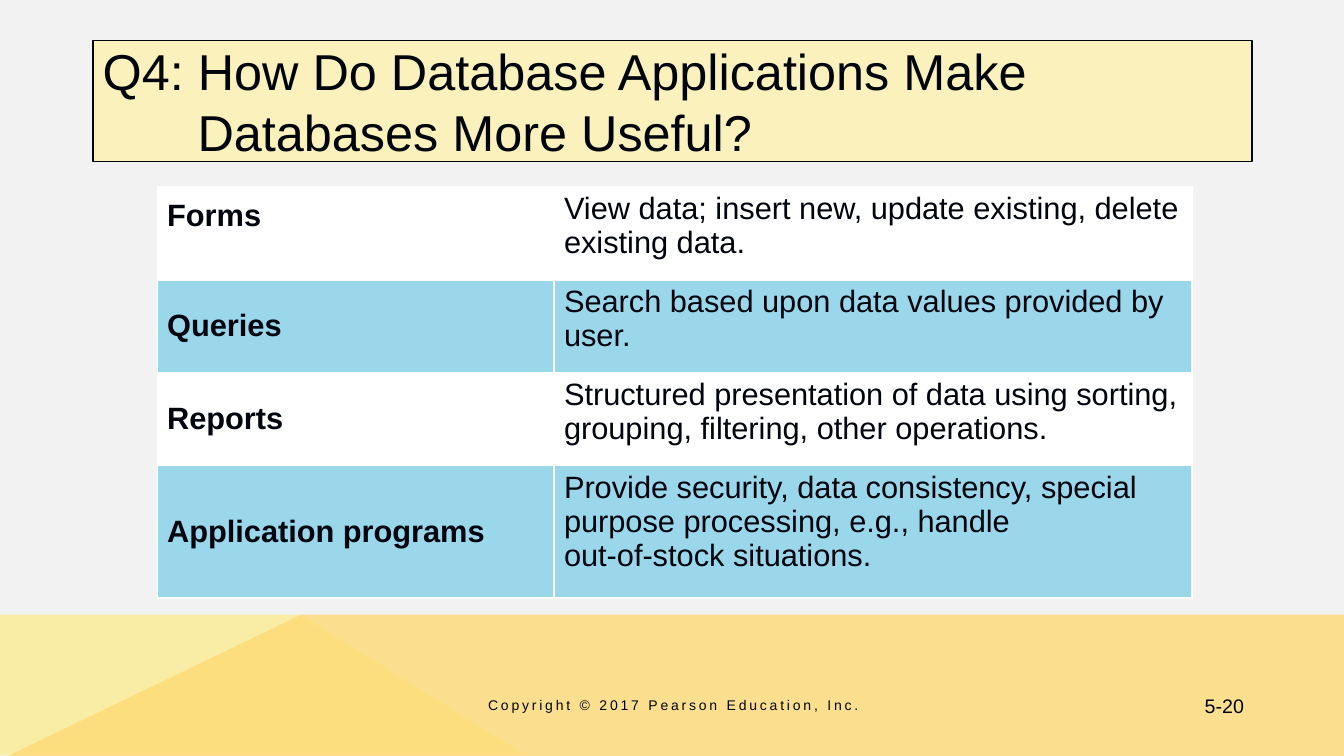
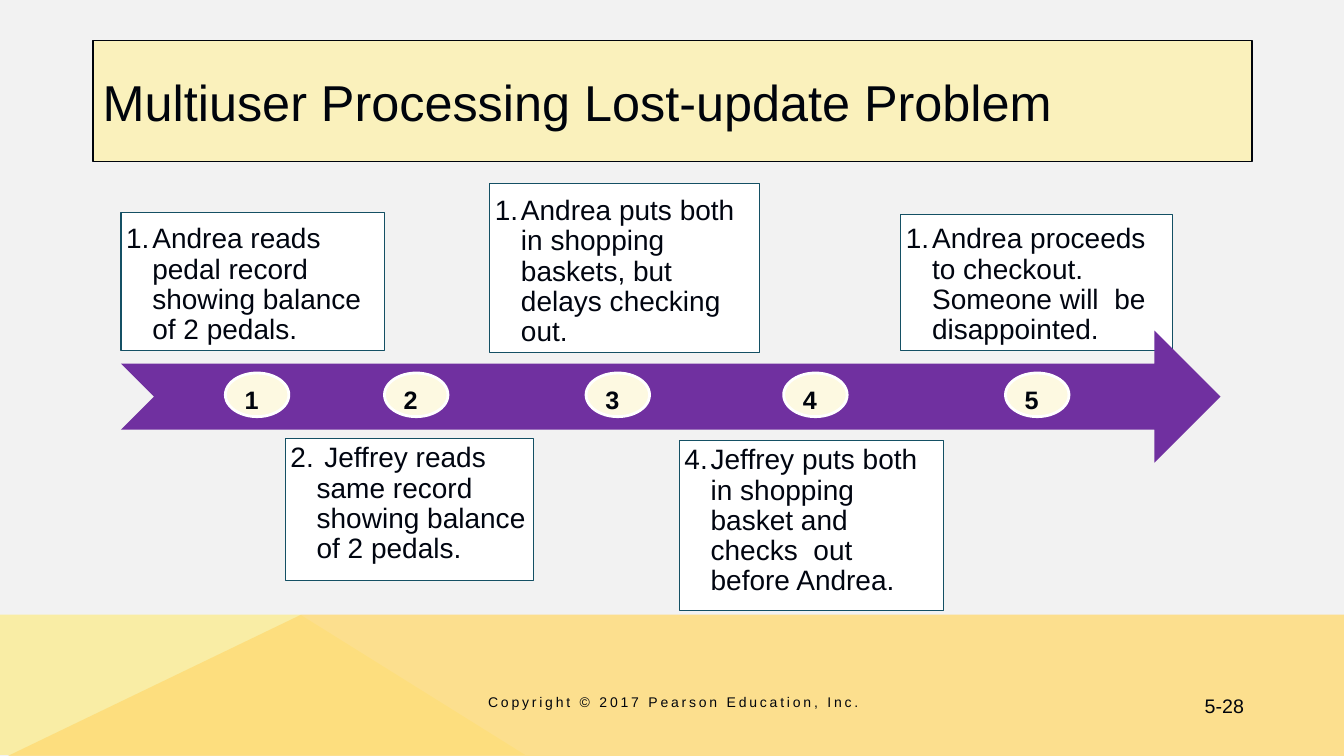
from lxml.etree import SubElement
from pptx import Presentation
from pptx.dml.color import RGBColor
from pptx.enum.shapes import MSO_SHAPE as Preset
from pptx.enum.text import MSO_ANCHOR as Anchor, PP_ALIGN as Align
from pptx.oxml.ns import qn
from pptx.util import Cm, Pt

FONT = "Arial"
INK, CARD_INK, WHITE, PAPER = "00040C", "000510", "FFFFFF", "F2F2F2"
TITLE_FILL, PALE_YELLOW, GOLD = "FAF1BC", "F9EDA5", "FFDB75"
BLUE, PURPLE, CREAM, TEAL = "9AD7EB", "7030A0", "FDF9E1", "145064"

WIDTH, HEIGHT, BAND_TOP = 33.87, 19.05, 15.49
BANDS = [
    (PALE_YELLOW, 100, [(0, 19.02), (0, BAND_TOP), (7.57, BAND_TOP), (13.23, 19.02)]),
    (GOLD, 80, [(0.2, HEIGHT), (7.59, BAND_TOP), (WIDTH, BAND_TOP), (WIDTH, HEIGHT)]),
]
COPYRIGHT = "Copyright © 2017 Pearson Education, Inc."

FEATURES = [
    ("Forms", "View data; insert new, update existing, delete existing data."),
    ("Queries", "Search based upon data values provided by user."),
    ("Reports", "Structured presentation of data using sorting, grouping, filtering, other operations."),
    ("Application programs", "Provide security, data consistency, special purpose processing, "
     "e.g., handle\nout-of-stock situations."),
]
COLUMN_WIDTHS = (10.0, 16.08)
ROW_HEIGHTS = (2.34, 2.34, 2.34, 3.35)

LATE_STEP = ("Andrea proceeds to checkout. Someone will  be disappointed.",
             1, (22.7, 5.41, 6.86, 3.43), Anchor.BOTTOM)
STEPS = [
    ("Andrea reads pedal record showing balance of 2 pedals.",
     1, (3.05, 5.36, 6.65, 3.48), Anchor.BOTTOM),
    (" Jeffrey reads same record showing balance of 2 pedals.",
     2, (7.19, 11.05, 6.26, 3.58), Anchor.TOP),
    ("Andrea puts both in shopping baskets, but delays checking out.",
     1, (12.34, 4.62, 6.79, 4.27), Anchor.BOTTOM),
    ("Jeffrey puts both in shopping basket and checks  out  before Andrea.",
     4, (17.12, 11.1, 6.66, 4.29), Anchor.TOP),
]
MARKER_LEFTS = (5.68, 9.69, 14.77, 19.75, 25.34)


def colour(code):
    return RGBColor.from_string(code)


def paint(shape, fill, line=None, width=1):
    shape.shadow.inherit = False
    shape.fill.solid()
    shape.fill.fore_color.rgb = colour(fill)
    if line:
        shape.line.color.rgb = colour(line)
        shape.line.width = Pt(width)
    else:
        shape.line.fill.background()


def write(text_frame, text, size, bold=False, align=Align.LEFT, ink=INK):
    text_frame.text = text
    text_frame.word_wrap = True
    for paragraph in text_frame.paragraphs:
        paragraph.alignment = align
        for run in paragraph.runs:
            run.font.name = FONT
            run.font.size = Pt(size)
            run.font.bold = bold
            run.font.color.rgb = colour(ink)


def hang(paragraph, indent):
    properties = paragraph._p.get_or_add_pPr()
    properties.set("marL", str(Cm(indent)))
    properties.set("indent", str(-Cm(indent)))
    return properties


def add_box(slide, preset, box, fill, line=None, width=1):
    shape = slide.shapes.add_shape(preset, *map(Cm, box))
    paint(shape, fill, line, width)
    return shape


def add_label(slide, box, text, size, align, anchor=Anchor.TOP):
    text_frame = slide.shapes.add_textbox(*map(Cm, box)).text_frame
    write(text_frame, text, size, align=align)
    text_frame.vertical_anchor = anchor
    return text_frame


def add_band(slide, fill, opacity, points):
    corners = [(Cm(x), Cm(y)) for x, y in points]
    builder = slide.shapes.build_freeform(*corners[0])
    builder.add_line_segments(corners[1:])
    shape = builder.convert_to_shape()
    paint(shape, fill)
    if opacity < 100:
        tint = shape._element.spPr.find(".//" + qn("a:srgbClr"))
        SubElement(tint, qn("a:alpha"), val=str(opacity * 1000))


def add_slide(presentation, title, number, title_indent=0, copyright_anchor=Anchor.TOP):
    slide = presentation.slides.add_slide(presentation.slide_layouts[6])
    slide.background.fill.solid()
    slide.background.fill.fore_color.rgb = colour(PAPER)
    for band in BANDS:
        add_band(slide, *band)
    add_label(slide, (28.22, 17.35, 3.38, 0.86), number, 14, Align.RIGHT)
    text_frame = add_box(slide, Preset.RECTANGLE, (2.34, 1.02, 29.21, 3.05), TITLE_FILL, INK).text_frame
    write(text_frame, title, 36)
    text_frame.vertical_anchor = Anchor.MIDDLE
    hang(text_frame.paragraphs[0], title_indent)
    notice = add_label(slide, (5.54, 17.35, 22.86, 0.84), COPYRIGHT, 10, Align.CENTER, copyright_anchor)
    notice.paragraphs[0].runs[0].font._element.set("spc", "200")
    return slide


def set_borders(cell, bottom_width):
    properties = cell._tc.get_or_add_tcPr()
    for side, width in (("L", 1), ("R", 1), ("T", 1), ("B", bottom_width)):
        line = SubElement(properties, qn("a:ln" + side), w=str(Pt(width)))
        fill = SubElement(line, qn("a:solidFill"))
        SubElement(fill, qn("a:srgbClr"), val=WHITE)


def add_feature_table(slide):
    table = slide.shapes.add_table(
        len(FEATURES), len(COLUMN_WIDTHS), Cm(3.96), Cm(4.7),
        Cm(sum(COLUMN_WIDTHS)), Cm(sum(ROW_HEIGHTS))).table
    table.first_row = table.horz_banding = False
    for column, width in zip(table.columns, COLUMN_WIDTHS):
        column.width = Cm(width)
    for index, (row, height, texts) in enumerate(zip(table.rows, ROW_HEIGHTS, FEATURES)):
        row.height = Cm(height)
        for position, (cell, text) in enumerate(zip(row.cells, texts)):
            is_name = position == 0
            set_borders(cell, 3 if index == 0 else 1)
            cell.fill.solid()
            cell.fill.fore_color.rgb = colour(BLUE if index % 2 else WHITE)
            write(cell.text_frame, text, 22, bold=is_name)
            cell.vertical_anchor = Anchor.MIDDLE if is_name else Anchor.TOP
    table.cell(0, 0).margin_bottom = Cm(1)


def add_step(slide, text, number, box, anchor):
    text_frame = add_box(slide, Preset.RECTANGLE, box, WHITE, TEAL, 0.75).text_frame
    write(text_frame, text, 20, ink=CARD_INK)
    text_frame.vertical_anchor = anchor
    text_frame.margin_left = text_frame.margin_right = Cm(0.13)
    text_frame.margin_top = text_frame.margin_bottom = Cm(0.13)
    paragraph = text_frame.paragraphs[0]
    paragraph.line_spacing = 0.9
    SubElement(hang(paragraph, 0.66), qn("a:buAutoNum"), type="arabicPeriod", startAt=str(number))


def add_timeline(slide):
    add_step(slide, *LATE_STEP)
    add_box(slide, Preset.NOTCHED_RIGHT_ARROW, (3.05, 8.33, 27.71, 3.33), PURPLE)
    for step in STEPS:
        add_step(slide, *step)
    for number, left in enumerate(MARKER_LEFTS, 1):
        marker = add_box(slide, Preset.OVAL, (left, 9.4, 1.6, 1.1), CREAM, WHITE, 2)
        write(marker.text_frame, str(number), 18, bold=True)
        marker.text_frame.vertical_anchor = Anchor.TOP


def main():
    """Build the database applications slides."""
    presentation = Presentation()
    presentation.slide_width, presentation.slide_height = Cm(WIDTH), Cm(HEIGHT)
    add_feature_table(add_slide(
        presentation, "Q4: How Do Database Applications Make Databases More Useful?",
        "5-20", title_indent=2.39, copyright_anchor=Anchor.MIDDLE))
    add_timeline(add_slide(presentation, "Multiuser Processing Lost-update Problem", "5-28"))
    presentation.save("out.pptx")


if __name__ == "__main__":
    main()
